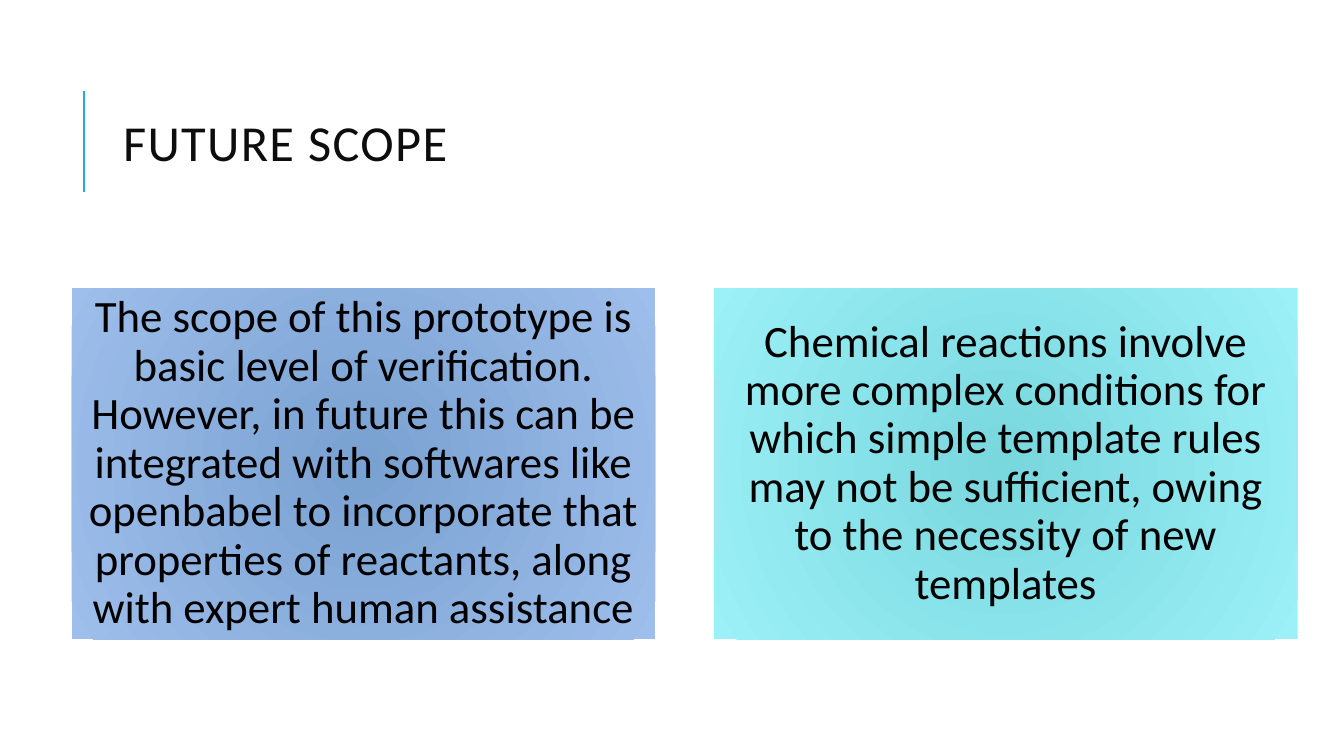
from lxml.etree import SubElement
from pptx import Presentation
from pptx.dml.color import RGBColor
from pptx.enum.shapes import MSO_CONNECTOR, MSO_SHAPE
from pptx.enum.text import MSO_ANCHOR, MSO_AUTO_SIZE, PP_ALIGN
from pptx.oxml.ns import qn
from pptx.util import Inches, Pt

FONT = "Calibri"
ACCENT = RGBColor(0x1C, 0xAD, 0xE4)
INK = RGBColor(0x0D, 0x0D, 0x0D)
BLACK = RGBColor(0, 0, 0)
BLUE = (RGBColor(0x79, 0xA1, 0xD1), RGBColor(0x9E, 0xBE, 0xEB))
AQUA = (RGBColor(0x79, 0xD7, 0xDE), RGBColor(0x9C, 0xF0, 0xF7))

CARD_LEFT, CARD_TOP = 0.71, 2.86
CARD_WIDTH, CARD_HEIGHT = 5.79, 3.48
CARD_STEP = 6.37
CARDS = [
    ("The scope of this prototype is basic level of verification. "
     "However, in future this can be integrated with softwares like "
     "openbabel to incorporate that properties of reactants, along with "
     "expert human assistance", BLUE),
    ("Chemical reactions involve more complex conditions for which simple "
     "template rules may not be sufficient, owing to the necessity of new "
     "templates", AQUA),
]


def add_text(frame, text, size, color, align, spacing):
    """Write one wrapped paragraph, centred vertically, and return its run."""
    frame.word_wrap = True
    frame.auto_size = MSO_AUTO_SIZE.NONE
    frame.vertical_anchor = MSO_ANCHOR.MIDDLE
    para = frame.paragraphs[0]
    para.alignment = align
    para.line_spacing = spacing
    run = para.add_run()
    run.text = text
    run.font.name = FONT
    run.font.size = Pt(size)
    run.font.color.rgb = color
    return run


def add_title(slide, text):
    """Fill the title placeholder with slightly spaced letters."""
    title = slide.shapes.title
    title.left, title.top = Inches(1.12), Inches(0.64)
    title.width, title.height = Inches(10.63), Inches(1.64)
    run = add_text(title.text_frame, text, 36, INK, PP_ALIGN.LEFT, 0.8)
    run.font._element.set("spc", "100")


def add_rule(slide):
    """Draw the upright accent line beside the title."""
    rule = slide.shapes.add_connector(
        MSO_CONNECTOR.STRAIGHT,
        Inches(0.83), Inches(1.9), Inches(0.83), Inches(0.9))
    rule.line.color.rgb = ACCENT
    rule.line.width = Pt(1.5)
    SubElement(rule._element.spPr, qn("a:effectLst"))


def fill_radial(shape, colors):
    """Give the shape a round gradient, from the centre outwards."""
    shape.fill.gradient()
    for stop, color in zip(shape.fill.gradient_stops, colors):
        stop.color.rgb = color
    grad = shape._element.spPr.find(qn("a:gradFill"))
    grad.remove(grad.find(qn("a:lin")))
    round_path = SubElement(grad, qn("a:path"), {"path": "circle"})
    SubElement(round_path, qn("a:fillToRect"),
               dict.fromkeys("ltrb", "100000"))


def add_card(slide, left, text, colors):
    """Add one borderless gradient card with centred text."""
    card = slide.shapes.add_shape(
        MSO_SHAPE.RECTANGLE, Inches(left), Inches(CARD_TOP),
        Inches(CARD_WIDTH), Inches(CARD_HEIGHT))
    card.shadow.inherit = False
    card.line.fill.background()
    fill_radial(card, colors)
    frame = card.text_frame
    frame.margin_left = frame.margin_right = Inches(0.13)
    frame.margin_top = frame.margin_bottom = Inches(0.13)
    add_text(frame, text, 32, BLACK, PP_ALIGN.CENTER, 0.9)


def main():
    """Build the slide and save it."""
    deck = Presentation()
    deck.slide_width, deck.slide_height = Inches(13.33), Inches(7.5)
    slide = deck.slides.add_slide(deck.slide_layouts[5])
    add_rule(slide)
    add_title(slide, "FUTURE SCOPE")
    for index, (text, colors) in enumerate(CARDS):
        add_card(slide, CARD_LEFT + index * CARD_STEP, text, colors)
    deck.save("out.pptx")


main()
